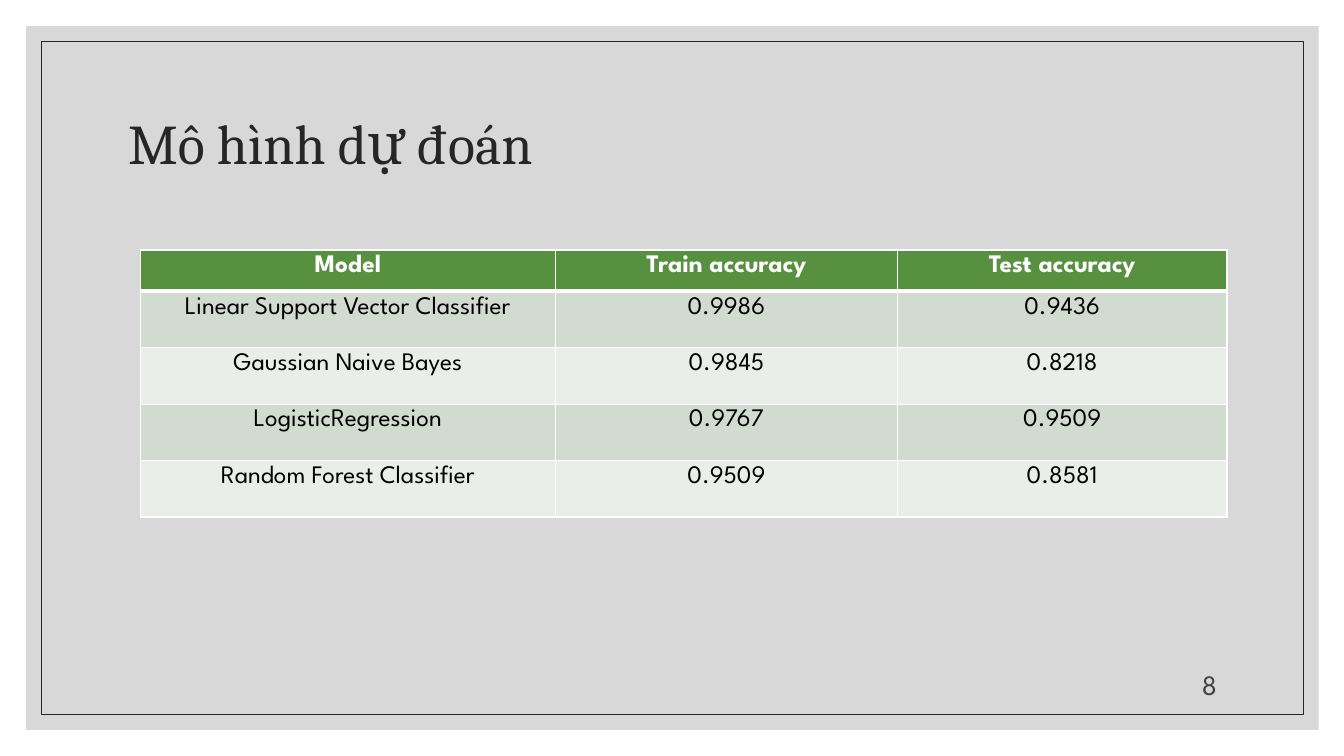
from dataclasses import dataclass

from lxml.etree import SubElement
from pptx import Presentation
from pptx.dml.color import RGBColor
from pptx.enum.shapes import MSO_SHAPE
from pptx.enum.text import MSO_ANCHOR, PP_ALIGN
from pptx.oxml.ns import qn
from pptx.util import Inches, Pt

WIDTH, HEIGHT = Inches(13.33), Inches(7.5)


@dataclass(frozen=True)
class Theme:
    panel: str = "BFBFBF"
    panel_opacity: int = 60
    ink: str = "262626"
    page_ink: str = "404040"
    cell_ink: str = "000000"
    white: str = "FFFFFF"
    header: str = "57903F"
    bands: tuple = ("D1DBCF", "EAEEE8")
    title_font: str = "Cambria"
    body_font: str = "League Spartan"
    title_size: int = 40
    page_size: int = 20
    cell_size: int = 18
    frame_line: float = 0.5
    grid_line: int = 1
    header_line: int = 3


THEME = Theme()

RESULTS = [
    ("Model", "Train accuracy", "Test accuracy"),
    ("Linear Support Vector Classifier", "0.9986", "0.9436"),
    ("Gaussian Naive Bayes", "0.9845", "0.8218"),
    ("LogisticRegression", "0.9767", "0.9509"),
    ("Random Forest Classifier", "0.9509", "0.8581"),
]
COLUMN_WEIGHTS = (4.12, 3.39, 3.27)
ROW_WEIGHTS = (0.41, 0.56, 0.56, 0.56, 0.56)


def percent_box(left, top, width, height):
    return (int(WIDTH * left / 100), int(HEIGHT * top / 100),
            int(WIDTH * width / 100), int(HEIGHT * height / 100))


def format_text(paragraph, font_name, size, color, align, bold=False):
    paragraph.alignment = align
    for run in paragraph.runs:
        run.font.name = font_name
        run.font.size = Pt(size)
        run.font.bold = bold
        run.font.color.rgb = RGBColor.from_string(color)


def add_frame(slide, panel_box, outline_box):
    panel = slide.shapes.add_shape(MSO_SHAPE.RECTANGLE, *panel_box)
    panel.fill.solid()
    panel.fill.fore_color.rgb = RGBColor.from_string(THEME.panel)
    panel_color = next(panel.element.spPr.iter(qn("a:srgbClr")))
    SubElement(panel_color, qn("a:alpha"), val=str(THEME.panel_opacity * 1000))
    panel.line.fill.background()

    outline = slide.shapes.add_shape(MSO_SHAPE.RECTANGLE, *outline_box)
    outline.fill.background()
    outline.line.color.rgb = RGBColor.from_string(THEME.ink)
    outline.line.width = Pt(THEME.frame_line)

    for part in (panel, outline):
        part.shadow.inherit = False
        slide.shapes.title.element.addprevious(part.element)


def place_title(slide, box, wording):
    title = slide.shapes.title
    title.left, title.top, title.width, title.height = box
    title.text_frame.text = wording
    title.text_frame.vertical_anchor = MSO_ANCHOR.MIDDLE
    heading = title.text_frame.paragraphs[0]
    heading.line_spacing = 0.9
    format_text(heading, THEME.title_font, THEME.title_size, THEME.ink, PP_ALIGN.LEFT)


def set_borders(cell, widths):
    properties = cell._tc.get_or_add_tcPr()
    for position, (side, width) in enumerate(widths.items()):
        border = properties.makeelement(qn(f"a:{side}"), {"w": str(Pt(width))})
        fill = SubElement(border, qn("a:solidFill"))
        SubElement(fill, qn("a:srgbClr"), val=THEME.white)
        properties.insert(position, border)


def add_results(slide, box):
    results = slide.shapes.add_table(len(RESULTS), len(RESULTS[0]), *box).table
    for column, weight in zip(results.columns, COLUMN_WEIGHTS):
        column.width = int(box[2] * weight / sum(COLUMN_WEIGHTS))
    for row, weight in zip(results.rows, ROW_WEIGHTS):
        row.height = int(box[3] * weight / sum(ROW_WEIGHTS))

    for row_index, entries in enumerate(RESULTS):
        is_header = row_index == 0
        band = THEME.header if is_header else THEME.bands[(row_index - 1) % 2]
        ink = THEME.white if is_header else THEME.cell_ink
        widths = dict.fromkeys(("lnL", "lnR", "lnT", "lnB"), THEME.grid_line)
        if is_header:
            widths["lnB"] = THEME.header_line
        elif row_index == 1:
            widths["lnT"] = THEME.header_line
        for column_index, entry in enumerate(entries):
            cell = results.cell(row_index, column_index)
            cell.text_frame.text = entry
            cell.fill.solid()
            cell.fill.fore_color.rgb = RGBColor.from_string(band)
            set_borders(cell, widths)
            format_text(cell.text_frame.paragraphs[0], THEME.body_font,
                        THEME.cell_size, ink, PP_ALIGN.CENTER, is_header)


def add_page_number(slide, box, number):
    page = slide.shapes.add_textbox(*box).text_frame
    page.word_wrap = True
    page.vertical_anchor = MSO_ANCHOR.BOTTOM
    page.text = number
    format_text(page.paragraphs[0], THEME.body_font, THEME.page_size,
                THEME.page_ink, PP_ALIGN.RIGHT)


def main():
    deck = Presentation()
    deck.slide_width, deck.slide_height = WIDTH, HEIGHT
    slide = deck.slides.add_slide(deck.slide_layouts.get_by_name("Title Only"))
    add_frame(slide, percent_box(1.95, 3.47, 96.17, 93.07),
              percent_box(3.08, 5.47, 93.92, 89.07))
    place_title(slide, percent_box(8.78, 9.33, 82.52, 20), "Mô hình dự đoán")
    add_results(slide, percent_box(10.43, 33.07, 80.87, 35.33))
    add_page_number(slide, percent_box(84.4, 88, 6.9, 5.33), "8")
    deck.save("out.pptx")


if __name__ == "__main__":
    main()
